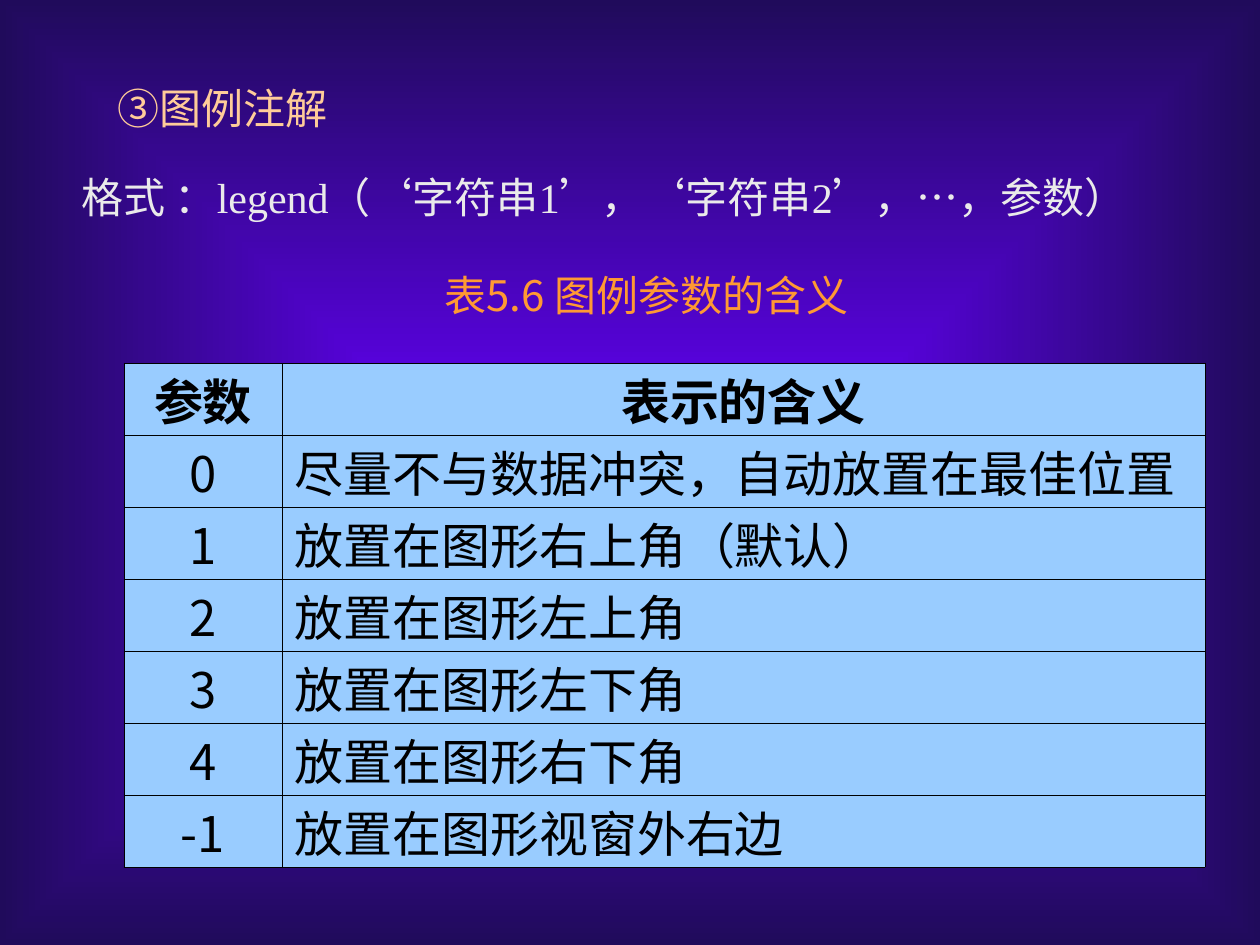
from dataclasses import dataclass

from lxml.etree import SubElement
from pptx import Presentation
from pptx.dml.color import RGBColor
from pptx.enum.lang import MSO_LANGUAGE_ID as Language
from pptx.enum.text import MSO_ANCHOR as Anchor, MSO_AUTO_SIZE as AutoSize, PP_ALIGN as Align
from pptx.oxml import parse_xml
from pptx.oxml.ns import nsdecls, qn
from pptx.shapes.autoshape import Shape
from pptx.slide import Slide
from pptx.table import _Cell as Cell
from pptx.text.text import _Paragraph as Paragraph
from pptx.util import Emu, Pt

PX_PER_INCH = 126


@dataclass(frozen=True)
class Theme:
    glow: str = "6600FF"
    night: str = "200B5B"
    heading: str = "FFCC99"
    body: str = "EAEAEA"
    caption: str = "FF9933"
    cell: str = "99CCFF"
    ink: str = "000000"
    serif: str = "Times New Roman"
    sans: str = "Noto Sans CJK SC"
    text_size: int = 24
    table_size: int = 28
    border: float = 0.45


THEME = Theme()


@dataclass(frozen=True)
class Box:
    left: int
    top: int
    width: int
    height: int


@dataclass(frozen=True)
class TextLine:
    text: str
    box: Box
    color: str
    font: str
    align: Align = Align.LEFT


HEADING = TextLine("③图例注解", Box(105, 76, 250, 63), THEME.heading, THEME.serif)
SYNTAX = TextLine("格式 ：legend（‘字符串1’，‘字符串2’，…，参数）",
                  Box(69, 165, 1130, 63), THEME.body, THEME.serif)
CAPTION = TextLine("表5.6 图例参数的含义", Box(417, 263, 459, 63),
                   THEME.caption, THEME.sans, Align.CENTER)

TABLE_LEFT, TABLE_TOP = 124, 363
COLUMN_WIDTHS = (158, 923)
ROW_HEIGHT = 72
LEGEND_POSITIONS = (
    ("参数", "表示的含义"),
    ("0", "尽量不与数据冲突，自动放置在最佳位置"),
    ("1", "放置在图形右上角（默认）"),
    ("2", "放置在图形左上角"),
    ("3", "放置在图形左下角"),
    ("4", "放置在图形右下角"),
    ("-1", "放置在图形视窗外右边"),
)


def px(length: int) -> Emu:
    return Emu(round(length * 914400 / PX_PER_INCH))


def add_run(paragraph: Paragraph, text: str, font: str, size: int, color: str,
            bold: bool = False) -> None:
    run = paragraph.add_run()
    run.text = text
    run.font.size = Pt(size)
    run.font.bold = bold
    run.font.color.rgb = RGBColor.from_string(color)
    run.font.language_id = Language.SIMPLIFIED_CHINESE
    run.font.name = font
    SubElement(run._r.get_or_add_rPr(), qn("a:ea"), typeface=THEME.sans)


def paint_background(slide: Slide) -> None:
    """Fill with a rectangular gradient that glows from the centre."""
    fill = slide.background.fill
    fill.gradient()
    for stop, color in zip(fill.gradient_stops, (THEME.glow, THEME.night)):
        stop.color.rgb = RGBColor.from_string(color)
    gradient = slide.element.find(".//" + qn("a:gradFill"))
    linear = gradient.find(qn("a:lin"))
    gradient.replace(linear, parse_xml(
        f'<a:path {nsdecls("a")} path="rect">'
        '<a:fillToRect l="50000" t="50000" r="50000" b="50000"/></a:path>'))


def write_line(shape: Shape, line: TextLine) -> None:
    box = line.box
    shape.left, shape.top = px(box.left), px(box.top)
    shape.width, shape.height = px(box.width), px(box.height)
    frame = shape.text_frame
    frame.word_wrap = False
    frame.auto_size = AutoSize.NONE
    frame.vertical_anchor = Anchor.MIDDLE
    paragraph = frame.paragraphs[0]
    paragraph.alignment = line.align
    add_run(paragraph, line.text, line.font, THEME.text_size, line.color)


def add_line(slide: Slide, line: TextLine) -> None:
    write_line(slide.shapes.add_textbox(0, 0, 0, 0), line)


def outline_cell(cell: Cell) -> None:
    properties = cell._tc.get_or_add_tcPr()
    for index, side in enumerate(("lnL", "lnR", "lnT", "lnB")):
        properties.insert(index, parse_xml(
            f'<a:{side} {nsdecls("a")} w="{Pt(THEME.border)}"><a:solidFill>'
            f'<a:srgbClr val="{THEME.ink}"/></a:solidFill></a:{side}>'))


def fill_cell(cell: Cell, text: str, header: bool, centered: bool) -> None:
    cell.fill.solid()
    cell.fill.fore_color.rgb = RGBColor.from_string(THEME.cell)
    cell.margin_top = cell.margin_bottom = 0
    cell.vertical_anchor = Anchor.BOTTOM
    outline_cell(cell)
    paragraph = cell.text_frame.paragraphs[0]
    paragraph.alignment = Align.CENTER if centered else Align.LEFT
    add_run(paragraph, text, THEME.sans, THEME.table_size, THEME.ink, header)


def add_position_table(slide: Slide) -> None:
    row_count = len(LEGEND_POSITIONS)
    table = slide.shapes.add_table(
        row_count, len(COLUMN_WIDTHS), px(TABLE_LEFT), px(TABLE_TOP),
        px(sum(COLUMN_WIDTHS)), px(ROW_HEIGHT * row_count)).table
    for column, width in zip(table.columns, COLUMN_WIDTHS):
        column.width = px(width)
    for row_index, texts in enumerate(LEGEND_POSITIONS):
        table.rows[row_index].height = px(ROW_HEIGHT)
        for column_index, text in enumerate(texts):
            header = row_index == 0
            fill_cell(table.cell(row_index, column_index), text, header,
                      centered=header or column_index == 0)


def main() -> None:
    presentation = Presentation()
    presentation.slide_width, presentation.slide_height = px(1260), px(945)
    title_only = presentation.slide_layouts[5]
    slide = presentation.slides.add_slide(title_only)
    paint_background(slide)
    write_line(slide.shapes.title, HEADING)
    add_line(slide, SYNTAX)
    add_line(slide, CAPTION)
    add_position_table(slide)
    presentation.save("out.pptx")


if __name__ == "__main__":
    main()
